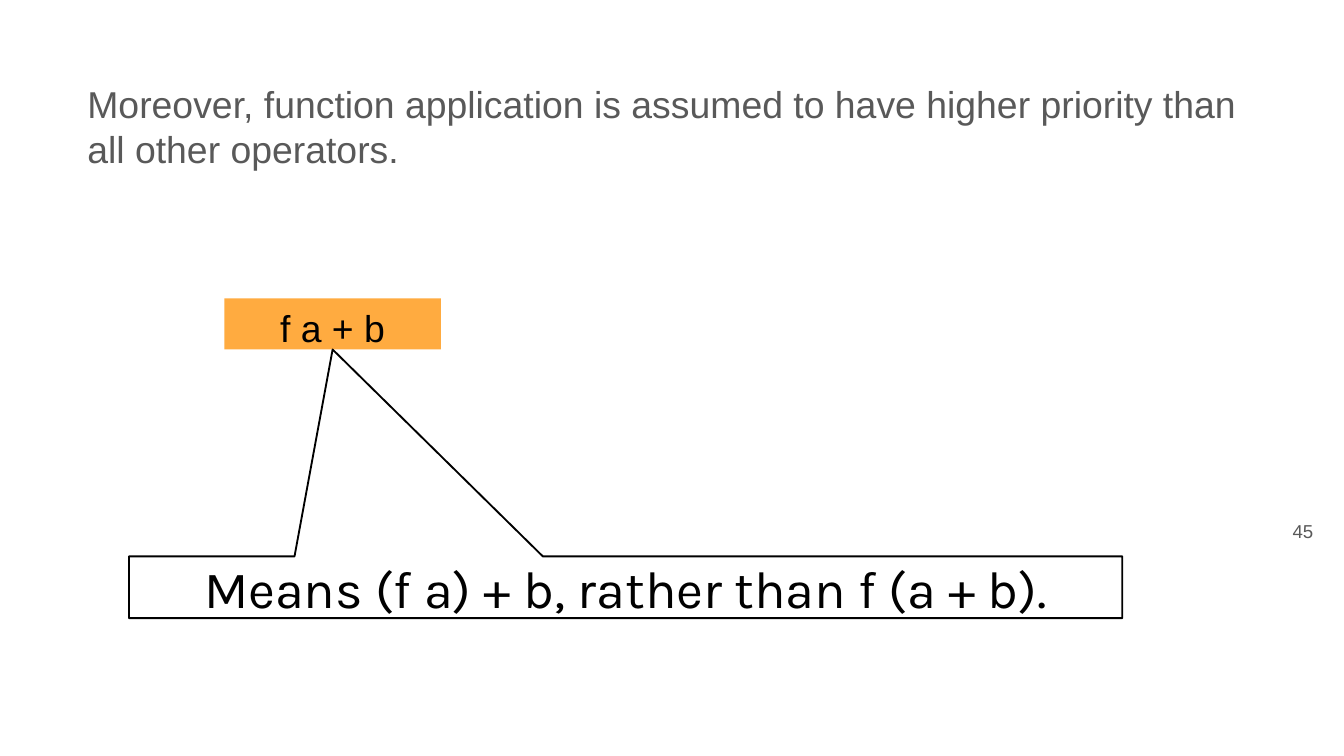
from pptx import Presentation
from pptx.dml.color import RGBColor
from pptx.enum.shapes import MSO_SHAPE
from pptx.enum.text import MSO_ANCHOR, MSO_AUTO_SIZE, PP_ALIGN
from pptx.util import Inches, Pt

COLORS = {"text": "595959", "ink": "000000", "code": "FFAB40"}


def rgb(name):
    return RGBColor.from_string(COLORS[name])


def write(sp, text, size=20, font="Arial", color="ink", align=PP_ALIGN.CENTER,
          anchor=MSO_ANCHOR.MIDDLE):
    tf = sp.text_frame
    tf.word_wrap = True
    tf.auto_size = MSO_AUTO_SIZE.NONE
    tf.vertical_anchor = anchor
    tf.margin_left = tf.margin_right = Inches(0.1)
    tf.margin_top = tf.margin_bottom = Inches(0.05)
    p = tf.paragraphs[0]
    p.alignment = align
    r = p.add_run()
    r.text = text
    r.font.size = Pt(size)
    r.font.name = font
    r.font.color.rgb = rgb(color)


class SlideBuilder:
    """Holds the current slide and the look of its elements."""

    def __init__(self, prs):
        self.s = prs.slides.add_slide(prs.slide_layouts[5])

    def title(self, text, box):
        sp = self.s.shapes.title
        sp.left, sp.top, sp.width, sp.height = map(Inches, box)
        write(sp, text, color="text", align=PP_ALIGN.LEFT)

    def page_number(self, text, box):
        sp = self.s.shapes.add_textbox(*map(Inches, box))
        write(sp, text, size=10, color="text", align=PP_ALIGN.RIGHT,
              anchor=MSO_ANCHOR.TOP)

    def shape(self, kind, box):
        sp = self.s.shapes.add_shape(kind, *map(Inches, box))
        sp.shadow.inherit = False
        return sp

    def code_box(self, text, box):
        sp = self.shape(MSO_SHAPE.RECTANGLE, box)
        sp.fill.solid()
        sp.fill.fore_color.rgb = rgb("code")
        sp.line.fill.background()
        write(sp, text, anchor=MSO_ANCHOR.TOP)

    def callout(self, text, box, target):
        """Draw a square-cornered callout whose tip touches target (x, y)."""
        sp = self.shape(MSO_SHAPE.ROUNDED_RECTANGULAR_CALLOUT, box)
        left, top, width, height = box
        sp.adjustments[0] = (target[0] - left) / width - 0.5
        sp.adjustments[1] = (target[1] - top) / height - 0.5
        sp.adjustments[2] = 0
        sp.fill.background()
        sp.line.color.rgb = rgb("ink")
        sp.line.width = Pt(1)
        write(sp, text, size=28, font="Karla")


def main():
    prs = Presentation()
    prs.slide_width = Inches(10)
    prs.slide_height = prs.slide_width * 9 // 16
    b = SlideBuilder(prs)
    b.page_number("45", (9.27, 3.82, 0.6, 0.32))
    b.title("Moreover, function application is assumed to have higher priority "
            "than all other operators.", (0.55, 0.55, 8.94, 0.78))
    code = (1.67, 2.22, 1.61, 0.38)
    b.code_box("f a + b", code)
    left, top, width, height = code
    b.callout("Means (f a) + b, rather than f (a + b).", (0.96, 4.14, 7.39, 0.46),
              target=(left + width / 2, top + height))
    prs.save("out.pptx")


if __name__ == "__main__":
    main()
